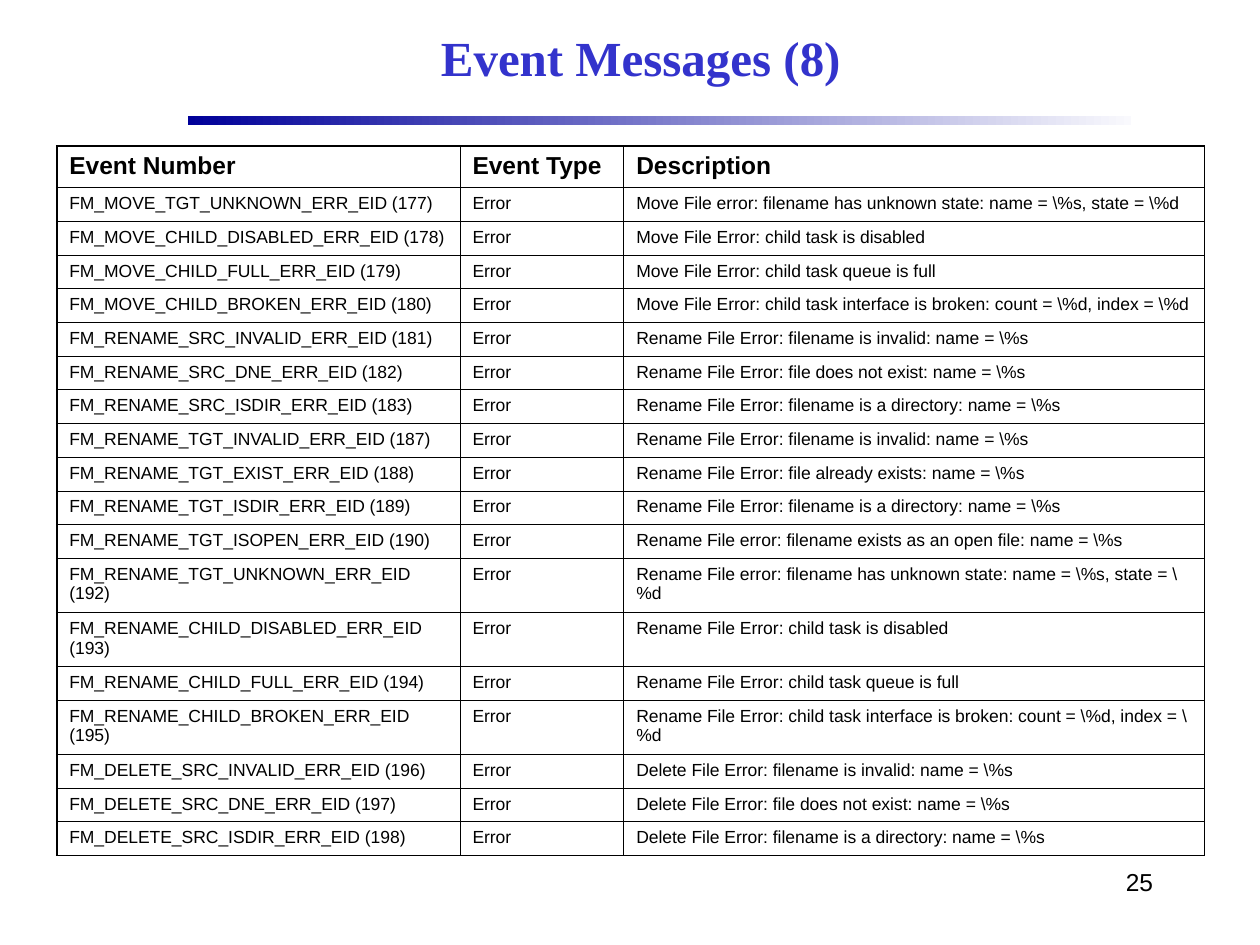
from lxml import etree
from pptx import Presentation
from pptx.dml.color import RGBColor
from pptx.enum.shapes import MSO_SHAPE
from pptx.enum.text import MSO_ANCHOR, PP_ALIGN
from pptx.oxml.ns import qn
from pptx.util import Inches, Pt

BLACK = RGBColor(0x00, 0x00, 0x00)
TITLE_BLUE = RGBColor(0x33, 0x33, 0xCC)
BAR_START = RGBColor(0x00, 0x00, 0x99)
BAR_END = RGBColor(0xF9, 0xF9, 0xFD)

HEADERS = ["Event Number", "Event Type", "Description"]
EVENTS = [
    ("FM_MOVE_TGT_UNKNOWN_ERR_EID (177)", r"Move File error: filename has unknown state: name = \%s, state = \%d"),
    ("FM_MOVE_CHILD_DISABLED_ERR_EID (178)", "Move File Error: child task is disabled"),
    ("FM_MOVE_CHILD_FULL_ERR_EID (179)", "Move File Error: child task queue is full"),
    ("FM_MOVE_CHILD_BROKEN_ERR_EID (180)", r"Move File Error: child task interface is broken: count = \%d, index = \%d"),
    ("FM_RENAME_SRC_INVALID_ERR_EID (181)", r"Rename File Error: filename is invalid: name = \%s"),
    ("FM_RENAME_SRC_DNE_ERR_EID (182)", r"Rename File Error: file does not exist: name = \%s"),
    ("FM_RENAME_SRC_ISDIR_ERR_EID (183)", r"Rename File Error: filename is a directory: name = \%s"),
    ("FM_RENAME_TGT_INVALID_ERR_EID (187)", r"Rename File Error: filename is invalid: name = \%s"),
    ("FM_RENAME_TGT_EXIST_ERR_EID (188)", r"Rename File Error: file already exists: name = \%s"),
    ("FM_RENAME_TGT_ISDIR_ERR_EID (189)", r"Rename File Error: filename is a directory: name = \%s"),
    ("FM_RENAME_TGT_ISOPEN_ERR_EID (190)", r"Rename File error: filename exists as an open file: name = \%s"),
    ("FM_RENAME_TGT_UNKNOWN_ERR_EID (192)", r"Rename File error: filename has unknown state: name = \%s, state = \%d"),
    ("FM_RENAME_CHILD_DISABLED_ERR_EID (193)", "Rename File Error: child task is disabled"),
    ("FM_RENAME_CHILD_FULL_ERR_EID (194)", "Rename File Error: child task queue is full"),
    ("FM_RENAME_CHILD_BROKEN_ERR_EID (195)", r"Rename File Error: child task interface is broken: count = \%d, index = \%d"),
    ("FM_DELETE_SRC_INVALID_ERR_EID (196)", r"Delete File Error: filename is invalid: name = \%s"),
    ("FM_DELETE_SRC_DNE_ERR_EID (197)", r"Delete File Error: file does not exist: name = \%s"),
    ("FM_DELETE_SRC_ISDIR_ERR_EID (198)", r"Delete File Error: filename is a directory: name = \%s"),
]
COL_WIDTHS = [3.2, 1.3, 4.61]
TABLE_H, HEADER_H, TALL_H = 5.63, 0.33, 0.43
TALL_ROWS = {12, 13, 15}  # rows whose text wraps to two lines
ROW_H = (TABLE_H - HEADER_H - TALL_H * len(TALL_ROWS)) / (len(EVENTS) - len(TALL_ROWS))
THIN, THICK = Pt(0.45), Pt(1.08)


def set_font(p, name, size, color, bold=False):
    p.font.name = name
    p.font.size = Pt(size)
    p.font.bold = bold
    p.font.color.rgb = color


def add_border(cell, side, width):
    ln = etree.SubElement(cell._tc.get_or_add_tcPr(), qn(f"a:ln{side}"), w=str(width))
    fill = etree.SubElement(ln, qn("a:solidFill"))
    etree.SubElement(fill, qn("a:srgbClr"), val=str(BLACK))


prs = Presentation()
prs.slide_width, prs.slide_height = Inches(10), Inches(7.5)
s = prs.slides.add_slide(prs.slide_layouts[5])

# Title
title = s.shapes.title
title.left, title.top = Inches(1.5), Inches(0.08)
title.width, title.height = Inches(7.17), Inches(0.75)
tf = title.text_frame
tf.text = "Event Messages (8)"
tf.vertical_anchor = MSO_ANCHOR.MIDDLE
p = tf.paragraphs[0]
p.alignment = PP_ALIGN.CENTER
set_font(p, "Times New Roman", 28, TITLE_BLUE, bold=True)

# Gradient bar under the title
bar = s.shapes.add_shape(MSO_SHAPE.RECTANGLE, Inches(1.49), Inches(0.92), Inches(7.49), Inches(0.07))
bar.shadow.inherit = False
bar.line.fill.background()
bar.fill.gradient()
bar.fill.gradient_angle = 0
for stop, color in zip(bar.fill.gradient_stops, (BAR_START, BAR_END)):
    stop.color.rgb = color

# Event table
table = s.shapes.add_table(len(EVENTS) + 1, len(HEADERS), Inches(0.45), Inches(1.16),
                           Inches(sum(COL_WIDTHS)), Inches(TABLE_H)).table
table.first_row = table.horz_banding = False
for col, width in zip(table.columns, COL_WIDTHS):
    col.width = Inches(width)

rows = [HEADERS] + [(number, "Error", text) for number, text in EVENTS]
for i, texts in enumerate(rows):
    header = i == 0
    height = HEADER_H if header else TALL_H if i in TALL_ROWS else ROW_H
    table.rows[i].height = Inches(height)
    for j, text in enumerate(texts):
        cell = table.cell(i, j)
        cell.text = text
        set_font(cell.text_frame.paragraphs[0], "Arial", 14 if header else 10, BLACK, bold=header)
        add_border(cell, "L", THICK if j == 0 else THIN)
        add_border(cell, "R", THICK if j == len(HEADERS) - 1 else THIN)
        add_border(cell, "T", THICK if header else THIN)
        add_border(cell, "B", THIN)
        cell.fill.background()

# Page number
page = s.shapes.add_textbox(Inches(7.17), Inches(6.83), Inches(2.08), Inches(0.5))
tf = page.text_frame
tf.word_wrap = True
tf.text = "25"
p = tf.paragraphs[0]
p.alignment = PP_ALIGN.RIGHT
set_font(p, "Arial", 14, BLACK)

prs.save("out.pptx")
